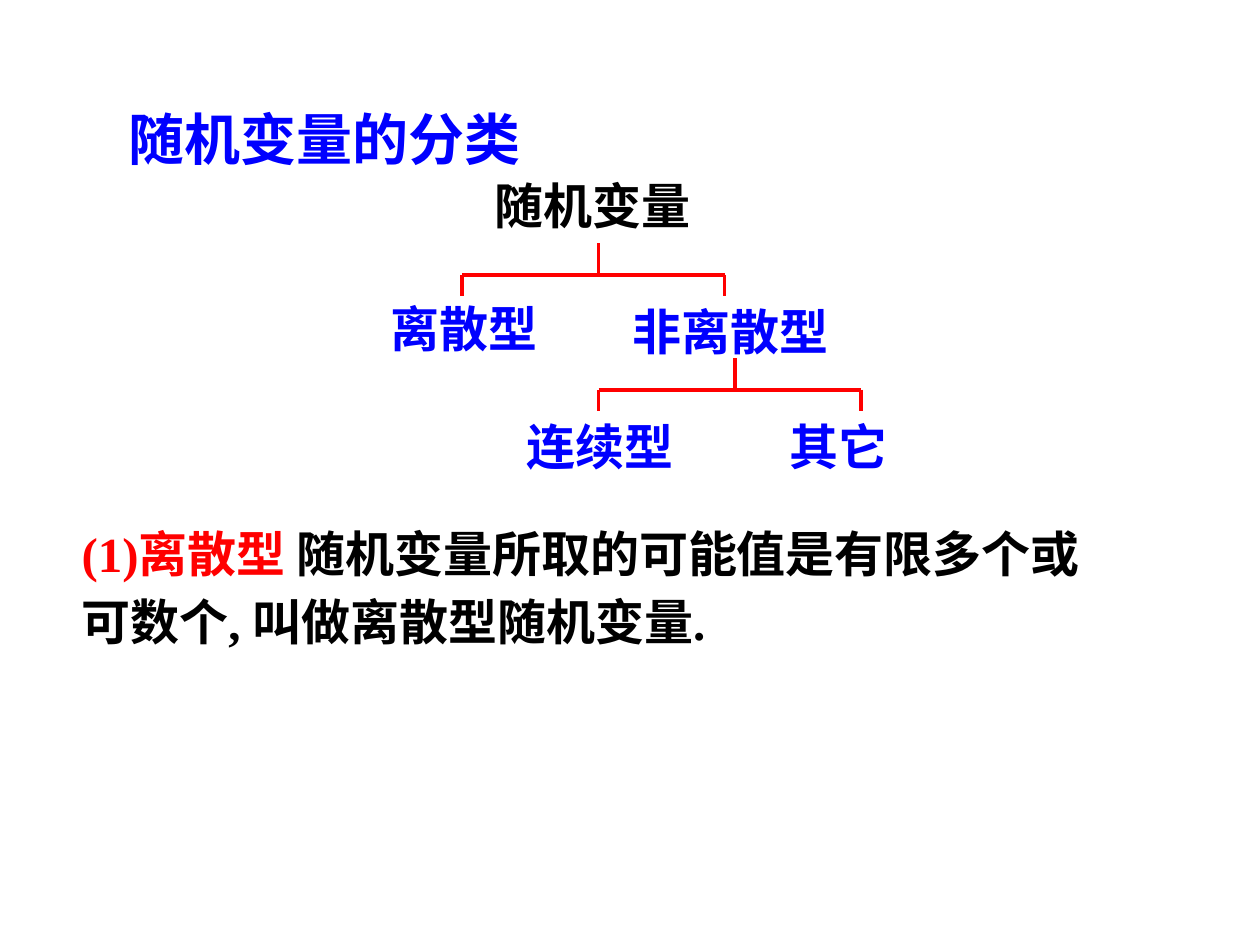
import dataclasses

import pptx
import pptx.dml.color
import pptx.enum.shapes
import pptx.enum.text
import pptx.oxml.ns
import pptx.util
from lxml import etree

Inches = pptx.util.Inches


@dataclasses.dataclass(frozen=True)
class Theme:
    blue: str = "0000FF"
    red: str = "FF0000"
    black: str = "000000"
    latin: str = "Times New Roman"
    chinese: str = "Noto Sans CJK SC"
    title_size: int = 32
    body_size: int = 28
    line_width: float = 2.25
    paragraph_gap: int = 7


THEME = Theme()


def rgb(value):
    return pptx.dml.color.RGBColor.from_string(value)


def add_text(page, box, paragraphs, size=THEME.body_size, wrap=False, hanging=0,
             line_spacing=None):
    """Each paragraph is a list of (text, colour, font) spans."""
    frame = page.shapes.add_textbox(*map(Inches, box)).text_frame
    frame.word_wrap = wrap
    frame.auto_size = pptx.enum.text.MSO_AUTO_SIZE.SHAPE_TO_FIT_TEXT
    for index, spans in enumerate(paragraphs):
        para = frame.add_paragraph() if index else frame.paragraphs[0]
        if index:
            para.space_before = pptx.util.Pt(THEME.paragraph_gap)
        if line_spacing:
            para.line_spacing = line_spacing
        if hanging:
            properties = para._p.get_or_add_pPr()
            properties.set("marL", str(Inches(hanging)))
            properties.set("indent", str(-Inches(hanging)))
        for text, colour, font in spans:
            span = para.add_run()
            span.text = text
            span.font.size = pptx.util.Pt(size)
            span.font.bold = True
            span.font.name = font
            span.font.color.rgb = rgb(colour)
            east_asian = etree.SubElement(span._r.rPr, pptx.oxml.ns.qn("a:ea"))
            east_asian.set("typeface", THEME.chinese)


def add_line(group, start, end):
    line = group.shapes.add_connector(
        pptx.enum.shapes.MSO_CONNECTOR.STRAIGHT, *map(Inches, start + end))
    line.line.color.rgb = rgb(THEME.red)
    line.line.width = pptx.util.Pt(THEME.line_width)
    etree.SubElement(line._element.spPr, pptx.oxml.ns.qn("a:effectLst"))


def add_bracket(page, box, stem):
    """Stem above a bar with a drop at each end; stem is its offset from the left."""
    left, top, width, height = box
    right, bottom = left + width, top + height
    bar = top + height * 0.6
    group = page.shapes.add_group_shape()
    add_line(group, (left, bar), (right, bar))
    for x in (left, right):
        add_line(group, (x, bar), (x, bottom))
    add_line(group, (left + stem, bar), (left + stem, top))


def add_tree(page, box):
    left, top = box[:2]
    labels = [
        ("随机变量", THEME.black, 0.83, 0, 1.76),
        ("离散型", THEME.blue, 0, 0.98, 1.37),
        ("非离散型", THEME.blue, 1.92, 1, 1.76),
        ("连续型", THEME.blue, 1.08, 1.92, 1.37),
        ("其它", THEME.blue, 3.17, 1.92, 0.98),
    ]
    for text, colour, x, y, width in labels:
        add_text(page, (left + x, top + y, width, 0.57),
                 [[(text, colour, THEME.latin)]])
    for x, y in ((0.67, 0.59), (1.75, 1.5)):
        add_bracket(page, (left + x, top + y, 2.08, 0.42), stem=1.08)


def add_title(page, box):
    add_text(page, box, [[("随机变量的分类", THEME.blue, THEME.chinese)]],
             size=THEME.title_size)


def add_definition(page, box):
    paragraphs = [
        [("(1)", THEME.red, THEME.latin),
         ("离散型", THEME.red, THEME.chinese),
         (" 随机变量所取的可能值是有限多个或", THEME.black, THEME.chinese)],
        [("可数个", THEME.black, THEME.chinese),
         (", ", THEME.black, THEME.latin),
         ("叫做离散型随机变量", THEME.black, THEME.chinese),
         (".", THEME.black, THEME.latin)],
    ]
    add_text(page, box, paragraphs, wrap=True, hanging=0.5, line_spacing=0.95)


def main():
    deck = pptx.Presentation()
    deck.slide_width, deck.slide_height = Inches(10), Inches(7.5)
    page = deck.slides.add_slide(deck.slide_layouts[6])
    add_title(page, (0.92, 0.78, 3.36, 0.64))
    add_tree(page, (3, 1.34, 4.15, 2.49))
    add_definition(page, (0.55, 4.14, 8.83, 1.22))
    deck.save("out.pptx")


if __name__ == "__main__":
    main()
